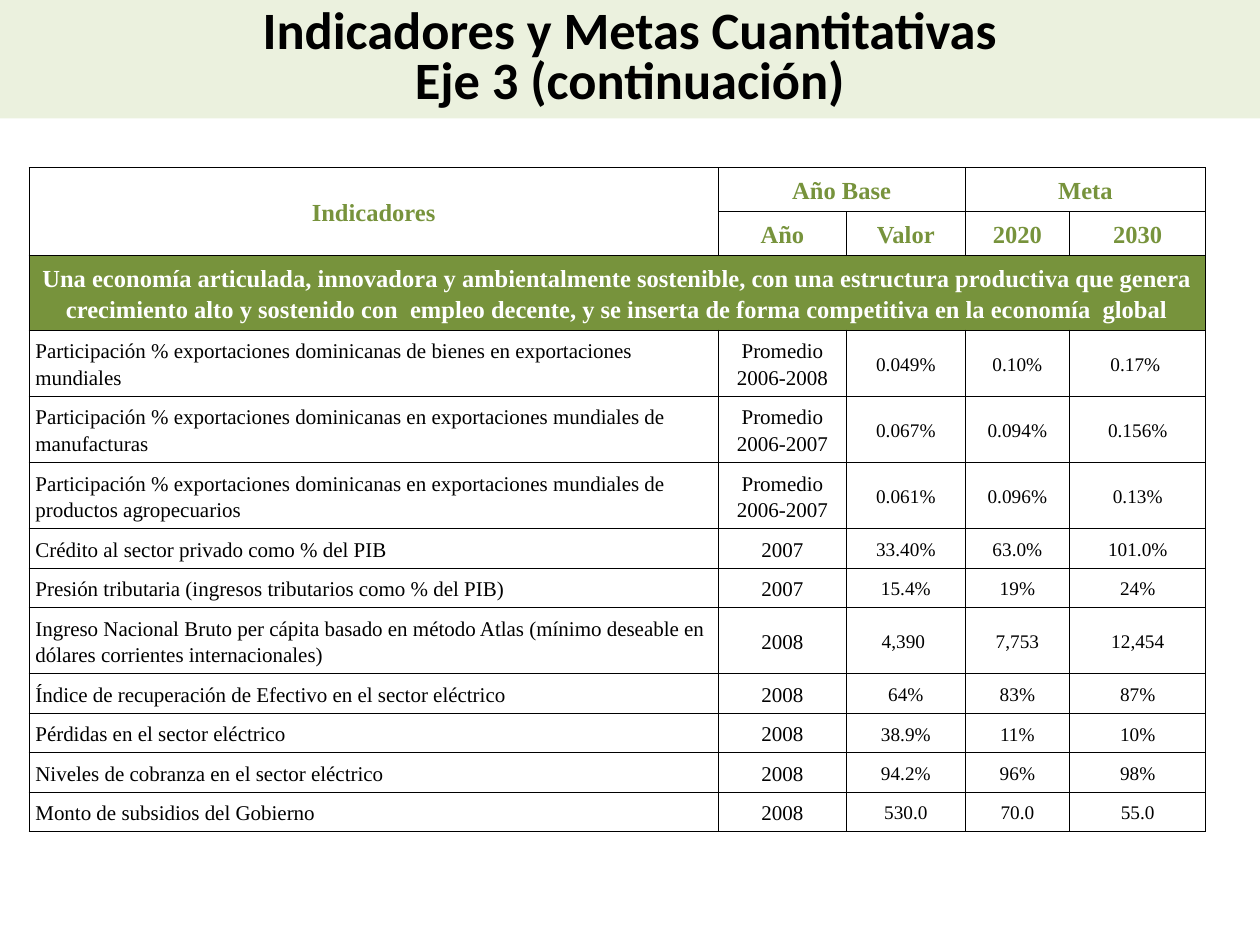
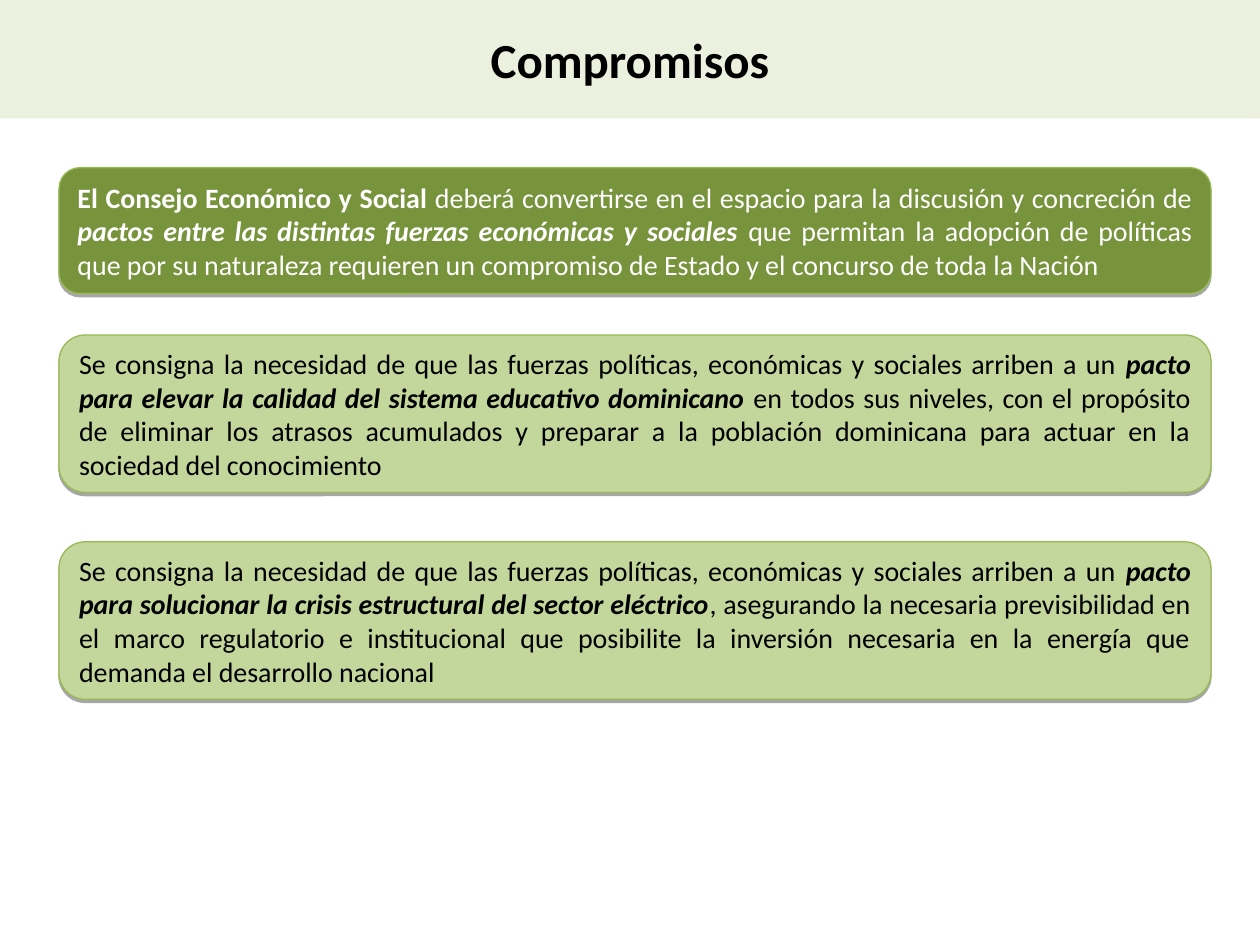
from dataclasses import dataclass

from lxml import etree
from pptx import Presentation
from pptx.dml.color import RGBColor
from pptx.enum import shapes, text
from pptx.oxml import ns
from pptx.util import Pt

# Content
INDICATORS_TITLE = ["Indicadores y Metas Cuantitativas", "Eje 3 (continuación)"]
COMMITMENTS_TITLE = ["Compromisos"]

# Each heading: row, column, rows spanned, columns spanned, wording
HEADINGS = [
    (0, 0, 2, 1, "Indicadores"),
    (0, 1, 1, 2, "Año Base"),
    (0, 3, 1, 2, "Meta"),
    (1, 1, 1, 1, "Año"),
    (1, 2, 1, 1, "Valor"),
    (1, 3, 1, 1, "2020"),
    (1, 4, 1, 1, "2030"),
]
AXIS_GOAL = (
    "Una economía articulada, innovadora y ambientalmente sostenible, con una "
    "estructura productiva que genera crecimiento alto y sostenido con  empleo "
    "decente, y se inserta de forma competitiva en la economía  global"
)
INDICATORS = [
    ("Participación % exportaciones dominicanas de bienes en exportaciones mundiales",
     "Promedio 2006-2008", "0.049%", "0.10%", "0.17% "),
    ("Participación % exportaciones dominicanas en exportaciones mundiales de manufacturas",
     "Promedio 2006-2007", "0.067%", "0.094%", "0.156%"),
    ("Participación % exportaciones dominicanas en exportaciones mundiales de "
     "productos agropecuarios",
     "Promedio 2006-2007", "0.061%", "0.096%", "0.13%"),
    ("Crédito al sector privado como % del PIB", "2007", "33.40%", "63.0%", "101.0%"),
    ("Presión tributaria (ingresos tributarios como % del PIB)",
     "2007", "15.4%", "19%", "24%"),
    ("Ingreso Nacional Bruto per cápita basado en método Atlas (mínimo deseable en "
     "dólares corrientes internacionales)", "2008", "4,390 ", "7,753", "12,454"),
    ("Índice de recuperación de Efectivo en el sector eléctrico",
     "2008", "64%", "83%", "87%"),
    ("Pérdidas en el sector eléctrico", "2008", "38.9%", "11%", "10%"),
    ("Niveles de cobranza en el sector eléctrico", "2008", "94.2%", "96%", "98%"),
    ("Monto de subsidios del Gobierno", "2008", "530.0", "70.0", "55.0"),
]

# Runs carry a style: "" plain, "b" bold, "bi" bold italic
PACT_OPENING = ("Se consigna la necesidad de que las fuerzas políticas, económicas "
                "y sociales arriben a un ", "")
COUNCIL = [
    ("El Consejo Económico y Social ", "b"),
    ("deberá convertirse en el espacio para la discusión y concreción de ", ""),
    ("pactos entre las distintas fuerzas económicas y sociales ", "bi"),
    ("que permitan la adopción de políticas que por su naturaleza requieren un "
     "compromiso de Estado y el concurso de toda la Nación", ""),
]
EDUCATION_PACT = [
    PACT_OPENING,
    ("pacto para elevar la calidad del sistema educativo dominicano", "bi"),
    (" en todos sus niveles, con el propósito de eliminar los atrasos acumulados y "
     "preparar a la población dominicana para actuar en la sociedad del conocimiento", ""),
]
POWER_PACT = [
    PACT_OPENING,
    ("pacto para solucionar la crisis estructural del sector eléctrico", "bi"),
    (", asegurando la necesaria previsibilidad en el marco regulatorio e institucional "
     "que posibilite la inversión necesaria en la energía que demanda el desarrollo "
     "nacional", ""),
]


@dataclass(frozen=True)
class Theme:
    black: str = "000000"
    white: str = "FFFFFF"
    band: str = "EBF1DE"
    green: str = "77933C"
    light_green: str = "C3D69B"
    outline: str = "98B954"
    sans: str = "Calibri"
    serif: str = "Times New Roman"
    long_title: int = 30
    short_title: int = 28
    commitment: int = 16
    heading: int = 14
    indicator: int = 12
    figure: int = 11


THEME = Theme()

# Layout, in points
SLIDE_WIDTH, SLIDE_HEIGHT = 720, 540
BAND_HEIGHT = 67.6
CONTENT_TOP = 95.8
TABLE_LEFT = 16.6
COLUMN_WIDTHS = [393.8, 73.4, 67.7, 59.8, 77.8]
CELL_INSET = 3.6
LINE_FACTOR = 1.38       # row height per line, relative to type size
WRAP_AT = 65             # characters that fit on one line of an indicator
BORDER_WIDTH = 0.45
BOX_LEFT, BOX_WIDTH = 33.7, 658.3
# Top, height, fill, text colour, runs
COMMITMENTS = [
    (CONTENT_TOP, 72, THEME.green, THEME.white, COUNCIL),
    (191.4, 90, THEME.light_green, THEME.black, EDUCATION_PACT),
    (309.6, 90, THEME.light_green, THEME.black, POWER_PACT),
]


def paint(fill, color):
    fill.solid()
    fill.fore_color.rgb = RGBColor.from_string(color)


def add_run(paragraph, words, face, size, color, style=""):
    run = paragraph.add_run()
    run.text = words
    run.font.name = face
    run.font.size = Pt(size)
    run.font.bold = "b" in style
    run.font.italic = "i" in style
    run.font.color.rgb = RGBColor.from_string(color)


def add_panel(slide, preset, left, top, width, height, color):
    panel = slide.shapes.add_shape(preset, Pt(left), Pt(top), Pt(width), Pt(height))
    panel.shadow.inherit = False
    paint(panel.fill, color)
    panel.line.fill.background()
    panel.text_frame.word_wrap = True
    panel.text_frame.vertical_anchor = text.MSO_ANCHOR.MIDDLE
    return panel


def add_title_band(slide, lines, size, spacing=1.0):
    band = add_panel(slide, shapes.MSO_SHAPE.RECTANGLE, 0, 0,
                     SLIDE_WIDTH, BAND_HEIGHT, THEME.band)
    frame = band.text_frame
    for number, line in enumerate(lines):
        paragraph = frame.add_paragraph() if number else frame.paragraphs[0]
        paragraph.alignment = text.PP_ALIGN.CENTER
        paragraph.line_spacing = spacing
        add_run(paragraph, line, THEME.sans, size, THEME.black, "b")


def add_drop_shadow(panel):
    effects = panel._element.spPr.find(ns.qn("a:effectLst"))
    shadow = etree.SubElement(effects, ns.qn("a:outerShdw"), blurRad="0",
                              dist=str(Pt(1.8)), dir=str(90 * 60000), rotWithShape="0")
    color = etree.SubElement(shadow, ns.qn("a:srgbClr"), val=THEME.black)
    etree.SubElement(color, ns.qn("a:alpha"), val="35000")


# Table cells
def frame_cell(cell):
    properties = cell._tc.get_or_add_tcPr()
    for position, side in enumerate(("lnL", "lnR", "lnT", "lnB")):
        edge = etree.Element(ns.qn(f"a:{side}"), w=str(Pt(BORDER_WIDTH)))
        fill = etree.SubElement(edge, ns.qn("a:solidFill"))
        etree.SubElement(fill, ns.qn("a:srgbClr"), val=THEME.black)
        properties.insert(position, edge)


def write_cell(cell, words, size, color, style="", fill=None, align=text.PP_ALIGN.CENTER):
    if fill:
        paint(cell.fill, fill)
    cell.vertical_anchor = text.MSO_ANCHOR.MIDDLE
    cell.margin_left = cell.margin_right = Pt(CELL_INSET)
    cell.margin_top = cell.margin_bottom = Pt(CELL_INSET)
    paragraph = cell.text_frame.paragraphs[0]
    paragraph.alignment = align
    paragraph.line_spacing = 1.15
    add_run(paragraph, words, THEME.serif, size, color, style)


def add_indicator_table(slide):
    heading_line = THEME.heading * LINE_FACTOR
    heights = [heading_line, heading_line, 2 * heading_line]
    heights += [THEME.indicator * LINE_FACTOR * (2 if len(row[0]) > WRAP_AT else 1)
                for row in INDICATORS]
    table = slide.shapes.add_table(
        len(heights), len(COLUMN_WIDTHS), Pt(TABLE_LEFT), Pt(CONTENT_TOP),
        Pt(sum(COLUMN_WIDTHS)), Pt(sum(heights))).table
    table.first_row = table.horz_banding = False
    for column, width in zip(table.columns, COLUMN_WIDTHS):
        column.width = Pt(width)
    for row, height in zip(table.rows, heights):
        row.height = Pt(height)
    for cell in table.iter_cells():
        cell.fill.background()
        frame_cell(cell)

    # Headings and the goal of the axis
    for row, column, tall, wide, words in HEADINGS:
        cell = table.cell(row, column)
        if tall * wide > 1:
            cell.merge(table.cell(row + tall - 1, column + wide - 1))
        write_cell(cell, words, THEME.heading, THEME.green, "b", THEME.white)
    goal = table.cell(2, 0)
    goal.merge(table.cell(2, len(COLUMN_WIDTHS) - 1))
    write_cell(goal, AXIS_GOAL, THEME.heading, THEME.white, "b", THEME.green)

    # One row per indicator
    for row, (indicator, year, *figures) in enumerate(INDICATORS, start=3):
        write_cell(table.cell(row, 0), indicator, THEME.indicator, THEME.black,
                   align=text.PP_ALIGN.LEFT)
        write_cell(table.cell(row, 1), year, THEME.indicator, THEME.black)
        for column, figure in enumerate(figures, start=2):
            write_cell(table.cell(row, column), figure, THEME.figure, THEME.black)


def add_commitment(slide, top, height, fill, color, runs):
    box = add_panel(slide, shapes.MSO_SHAPE.ROUNDED_RECTANGLE,
                    BOX_LEFT, top, BOX_WIDTH, height, fill)
    paint(box.line.fill, THEME.outline)
    box.line.width = Pt(0.75)
    add_drop_shadow(box)
    paragraph = box.text_frame.paragraphs[0]
    paragraph.alignment = text.PP_ALIGN.JUSTIFY
    for words, style in runs:
        add_run(paragraph, words, THEME.sans, THEME.commitment, color, style)


def main():
    deck = Presentation()
    deck.slide_width, deck.slide_height = Pt(SLIDE_WIDTH), Pt(SLIDE_HEIGHT)
    blank = deck.slide_layouts[6]

    indicators = deck.slides.add_slide(blank)
    add_title_band(indicators, INDICATORS_TITLE, THEME.long_title, 0.8)
    add_indicator_table(indicators)

    commitments = deck.slides.add_slide(blank)
    add_title_band(commitments, COMMITMENTS_TITLE, THEME.short_title)
    for commitment in COMMITMENTS:
        add_commitment(commitments, *commitment)

    deck.save("out.pptx")


if __name__ == "__main__":
    main()
